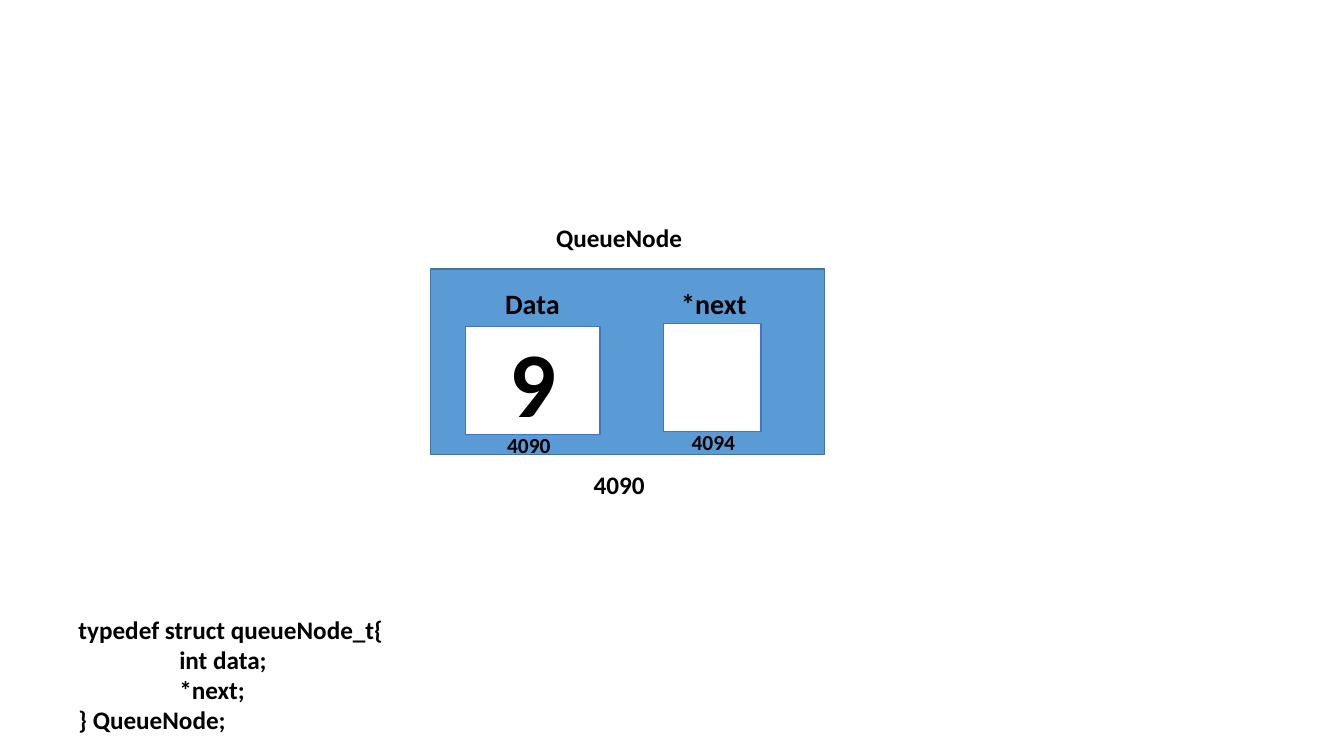
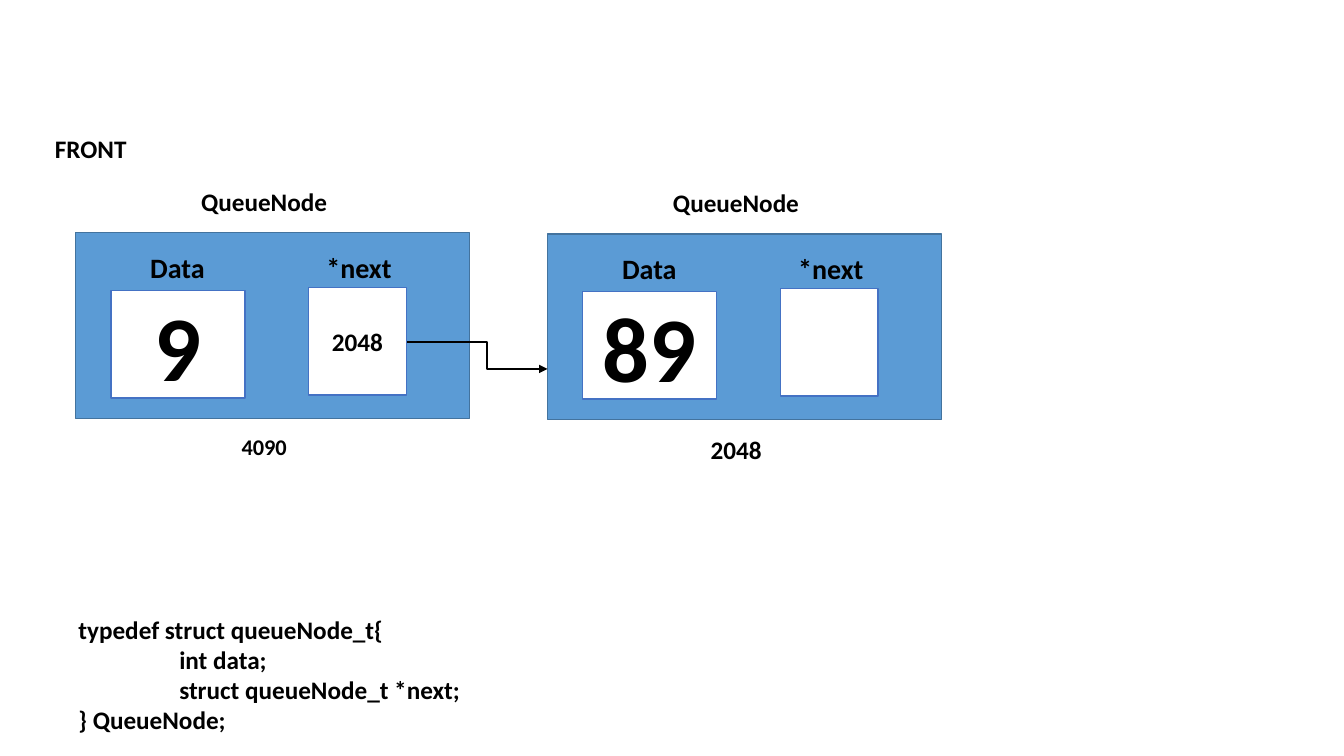
from lxml import etree
from pptx import Presentation
from pptx.dml.color import RGBColor
from pptx.enum.shapes import MSO_CONNECTOR, MSO_SHAPE
from pptx.enum.text import MSO_ANCHOR, MSO_AUTO_SIZE, PP_ALIGN
from pptx.oxml.ns import qn
from pptx.util import Inches, Pt

RECT = MSO_SHAPE.RECTANGLE
ELBOW = MSO_CONNECTOR.ELBOW
LEFT, CENTER = PP_ALIGN.LEFT, PP_ALIGN.CENTER
TOP, MIDDLE, BOTTOM = MSO_ANCHOR.TOP, MSO_ANCHOR.MIDDLE, MSO_ANCHOR.BOTTOM
NO_FIT = MSO_AUTO_SIZE.NONE

# Shared style
FONT = "Calibri"
BLACK, WHITE = "000000", "FFFFFF"
NODE_FILL, NODE_LINE, CELL_LINE = "5B9BD5", "43739E", "4472C4"
NODE_W, NODE_H = 3.91, 1.84
CELL_H = 1.07
CAPTION_W, CAPTION_H = 1.72, 0.48


def rgb(value):
    return RGBColor.from_string(value)


def format_text(sp, size, align=CENTER, anchor=TOP, spacing=1.0, before=0):
    tf = sp.text_frame
    tf.word_wrap = True
    tf.auto_size = NO_FIT
    tf.vertical_anchor = anchor
    for p in tf.paragraphs:
        p.alignment = align
        p.line_spacing = spacing
        p.space_before = Pt(before)
        for r in p.runs:
            r.font.name = FONT
            r.font.size = Pt(size)
            r.font.bold = True
            r.font.color.rgb = rgb(BLACK)


def add_label(slide, text, box, size=18, placeholder=None, **style):
    """Write a text box, or fill a placeholder and bring it to the front."""
    box = [Inches(v) for v in box]
    if placeholder is None:
        sp = slide.shapes.add_textbox(*box)
    else:
        sp = placeholder
        sp.left, sp.top, sp.width, sp.height = box
        slide.shapes._spTree.append(sp._element)
    sp.text_frame.text = text
    format_text(sp, size, **style)


def add_caption(slide, text, left, top, size=18, placeholder=None):
    add_label(slide, text, (left, top, CAPTION_W, CAPTION_H), size,
              placeholder, spacing=0.9, before=10)


def add_box(slide, box, fill, line, text="", size=18):
    sp = slide.shapes.add_shape(RECT, *[Inches(v) for v in box])
    sp.shadow.inherit = False
    sp.fill.solid()
    sp.fill.fore_color.rgb = rgb(fill)
    sp.line.color.rgb = rgb(line)
    sp.line.width = Pt(1)
    if text:
        sp.text_frame.text = text
        format_text(sp, size, anchor=MIDDLE)


def add_node(slide, left, top, data, address, next_value="", address_size=18,
             cell_addresses=(), title=None, subtitle=None):
    """Draw a queue node with its two fields, caption and address."""
    add_caption(slide, "QueueNode", left + 1.01, top - CAPTION_H,
                placeholder=subtitle)
    add_box(slide, (left, top, NODE_W, NODE_H), NODE_FILL, NODE_LINE)
    add_box(slide, (left + 0.35, top + 0.57, 1.33, CELL_H), WHITE, CELL_LINE,
            data, 66)
    add_box(slide, (left + 2.31, top + 0.54, 0.97, CELL_H), WHITE, CELL_LINE,
            next_value)
    for text, dx, holder in (("Data", 0.42, title), ("*next", 2.22, None)):
        add_label(slide, text, (left + dx, top + 0.04, 1.18, 0.52), 20,
                  holder, anchor=BOTTOM, spacing=0.9)
    add_caption(slide, address, left + 1.01, top + 1.97, address_size)
    for text, (dx, dy) in zip(cell_addresses, ((0.42, 1.64), (2.25, 1.61))):
        add_label(slide, text, (left + dx, top + dy, 1.11, 0.29), 15.3,
                  spacing=0.7, before=10)


def add_struct(slide, next_field):
    """Write the type definition, with its fields indented."""
    lines = ["typedef struct queueNode_t{", "int data;", next_field,
             "} QueueNode;"]
    sp = slide.shapes.add_textbox(Inches(0.68), Inches(6.04),
                                  Inches(6.66), Inches(1.31))
    sp.text_frame.text = "\n".join(lines)
    format_text(sp, 18, align=LEFT)
    for p in sp.text_frame.paragraphs[1:3]:
        p._p.get_or_add_pPr().set("marL", str(Inches(1)))


def add_pointer(slide, start, end, bend):
    """Draw an elbow arrow that turns at the given share of its width."""
    line = slide.shapes.add_connector(ELBOW, *[Inches(v) for v in start + end])
    line.line.color.rgb = rgb(BLACK)
    line.line.width = Pt(1.5)
    sp_pr = line._element.spPr
    guides = sp_pr.find(qn("a:prstGeom")).get_or_add_avLst()
    etree.SubElement(guides, qn("a:gd"), name="adj1",
                     fmla=f"val {round(bend * 100000)}")
    etree.SubElement(line.line._get_or_add_ln(), qn("a:tailEnd"),
                     type="triangle")
    etree.SubElement(sp_pr, qn("a:effectLst"))


def add_slide(prs):
    slide = prs.slides.add_slide(prs.slide_layouts[0])
    title, subtitle = slide.placeholders
    return slide, {"title": title, "subtitle": subtitle}


def main():
    prs = Presentation()
    prs.slide_width, prs.slide_height = Inches(13.33), Inches(7.5)

    # Slide 1: a single node
    slide, holders = add_slide(prs)
    add_node(slide, 4.27, 2.67, "9", "4090",
             cell_addresses=("4090", "4094"), **holders)
    add_struct(slide, "*next;")

    # Slide 2: two linked nodes
    slide, holders = add_slide(prs)
    add_node(slide, 5.43, 2.32, "89", "2048", **holders)
    add_node(slide, 0.75, 2.31, "9", "4090", next_value="2048",
             address_size=16)
    add_caption(slide, "FRONT", 0.04, 1.31)
    add_pointer(slide, (4.04, 3.39), (5.43, 3.66), 0.57)
    add_struct(slide, "struct queueNode_t *next;")

    prs.save("out.pptx")


if __name__ == "__main__":
    main()
